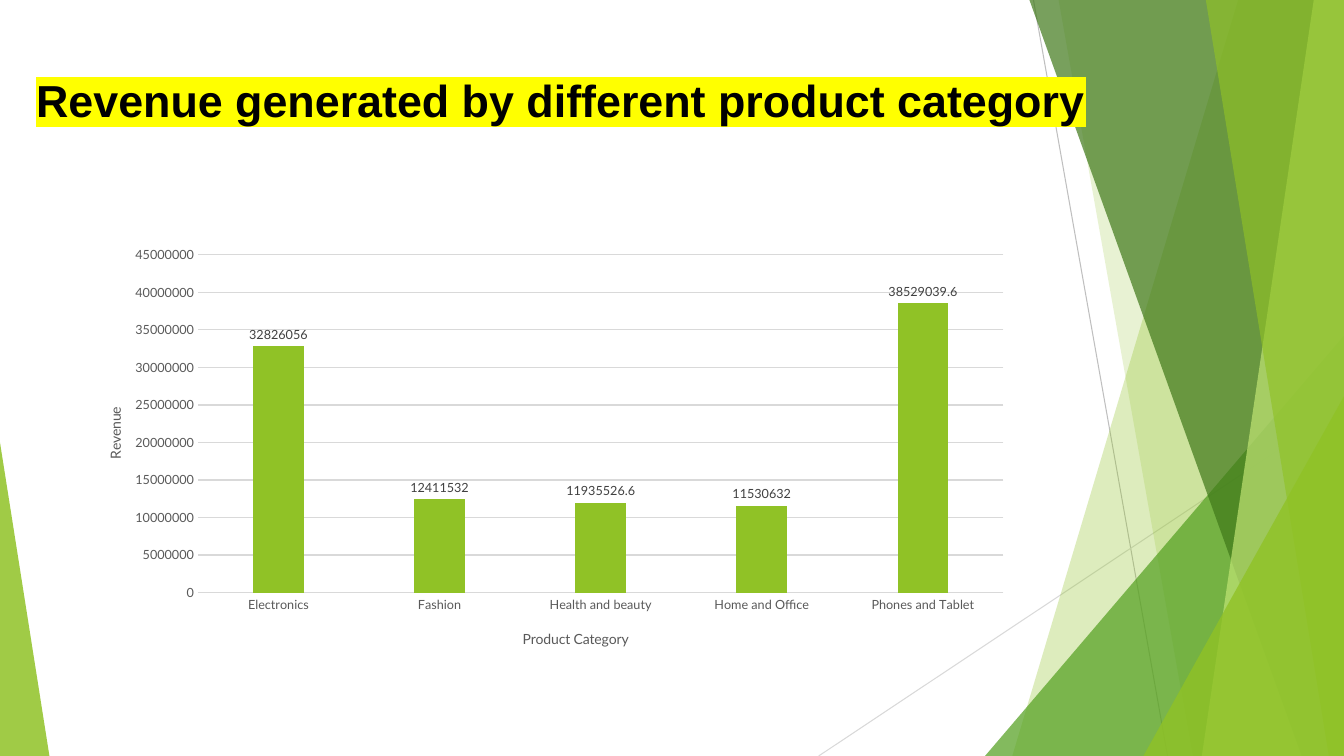
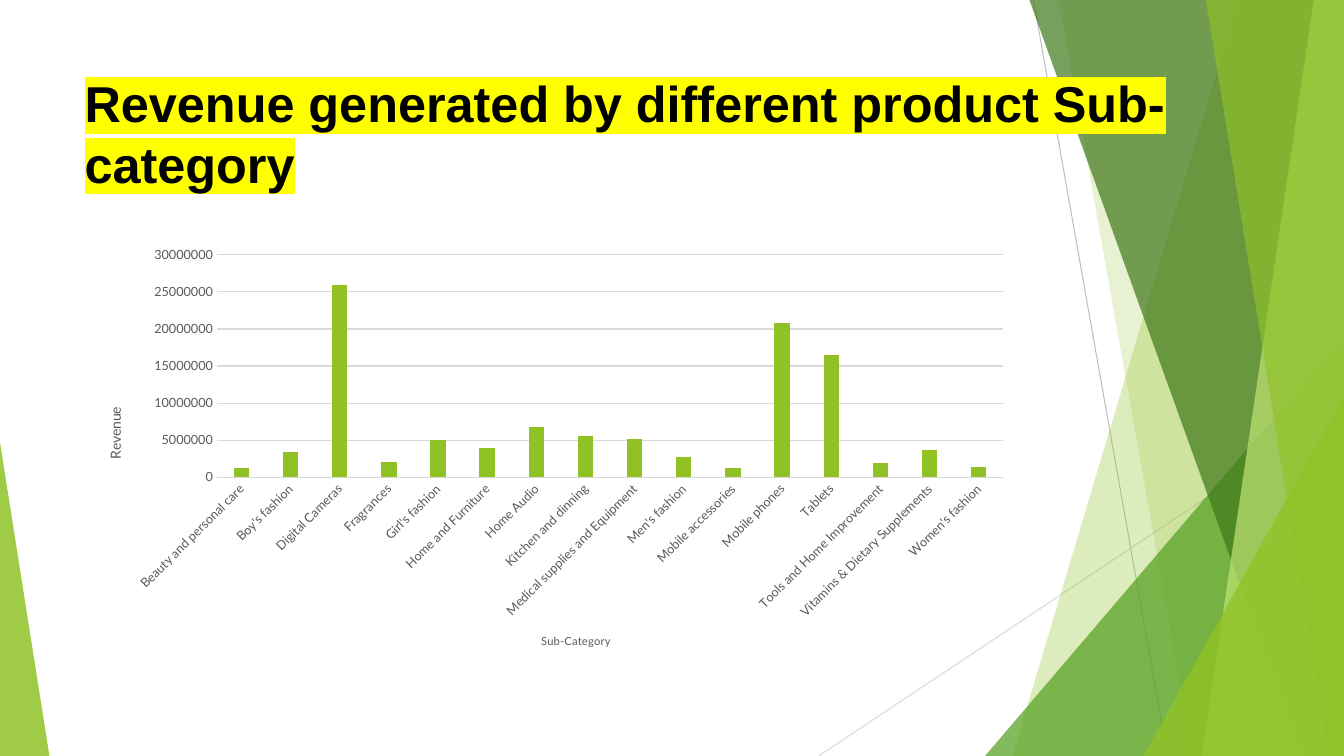
from lxml.etree import SubElement
from pptx import Presentation
from pptx.chart.data import CategoryChartData
from pptx.dml.color import RGBColor
from pptx.enum.chart import XL_CHART_TYPE as ChartType, XL_LABEL_POSITION as LabelPos
from pptx.enum.chart import XL_TICK_MARK as TickMark
from pptx.enum.shapes import MSO_CONNECTOR as Connector, MSO_SHAPE as Shape
from pptx.oxml import parse_xml
from pptx.oxml.ns import nsdecls, qn
from pptx.util import Inches, Pt

# Colours and fonts
LIME = RGBColor(0x90, 0xC2, 0x26)
GREEN = RGBColor(0x54, 0xA0, 0x21)
FOREST = RGBColor(0x3F, 0x78, 0x19)
PALE = RGBColor(0xC0, 0xE4, 0x74)
BLACK = RGBColor(0, 0, 0)
LABEL_GREY = RGBColor(0x40, 0x40, 0x40)
AXIS_GREY = RGBColor(0x59, 0x59, 0x59)
RAY_GREY = RGBColor(0xBF, 0xBF, 0xBF)
GRID_GREY = RGBColor(0xD9, 0xD9, 0xD9)
HIGHLIGHT = "FFFF00"
TITLE_FONT, CHART_FONT = "Arial", "Lato"

# Content; layouts are fractions of the chart frame
SLIDES = [
    {
        "title": "Revenue generated by different product category",
        "title_left": 0.26, "title_width": 13.07, "title_size": 32,
        "category_title": "Product Category", "category_title_size": 10,
        "revenue": {
            "Electronics": 32826056,
            "Fashion": 12411532,
            "Health and beauty": 11935526.6,
            "Home and Office": 11530632,
            "Phones and Tablet": 38529039.6,
        },
        "axis_max": 45000000, "value_labels": True, "label_angle": 0,
        "plot_layout": {"x": 0.13, "y": 0.04, "w": 0.85, "h": 0.79},
        "category_title_layout": {"x": 0.47, "y": 0.91},
    },
    {
        "title": "Revenue generated by different product Sub-category",
        "title_left": 0.74, "title_width": 11.36, "title_size": 36,
        "category_title": "Sub-Category", "category_title_size": 8,
        "revenue": {
            "Beauty and personal care": 1200000,
            "Boy's fashion": 3400000,
            "Digital Cameras": 26000000,
            "Fragrances": 2000000,
            "Girl's fashion": 5000000,
            "Home and Furniture": 4000000,
            "Home Audio": 6800000,
            "Kitchen and dinning": 5600000,
            "Medical supplies and Equipment": 5100000,
            "Men's fashion": 2700000,
            "Mobile accessories": 1200000,
            "Mobile phones": 20800000,
            "Tablets": 16500000,
            "Tools and Home Improvement": 1900000,
            "Vitamins & Dietary Supplements": 3700000,
            "Women's fashion": 1300000,
        },
        "axis_max": 30000000, "value_labels": False, "label_angle": -45,
        "plot_layout": {"x": 0.15, "y": 0.04, "w": 0.83, "h": 0.52},
        "category_title_layout": {"x": 0.49, "y": 0.92},
    },
]
REVENUE_TITLE_LAYOUT = {"x": 0.03, "y": 0.39}
AXIS_STEP = 5000000

# Backdrop, back to front
WIDTH, HEIGHT = 13.33, 7.5
RAYS = [((10.25, 0), (11.58, HEIGHT), RAY_GREY), ((WIDTH, 4.03), (8.12, HEIGHT), GRID_GREY)]
# Bands reach the right edge: (top left x, bottom left x, colour, opacity %)
# Triangles stand on the bottom edge: (left, top, width, apex, colour, opacity %)
FACETS = [
    ("band", 12.28, 10.04, LIME, 30),
    ("band", 10.5, 11.83, LIME, 20),
    ("triangle", 9.77, 3.33, 3.56, 1, GREEN, 72),
    ("band", 10.21, 12.91, FOREST, 70),
    ("band", 13.03, 11.92, PALE, 70),
    ("band", 11.96, 13.18, LIME, 65),
    ("triangle", 11.34, 3.93, 1.99, 1, LIME, 80),
    ("triangle", 0, 4.39, 0.49, 0, LIME, 85),
]


def set_font(font, color, **values):
    for name, value in values.items():
        setattr(font, name, value)
    font.color.rgb = color


def set_line(line, color):
    line.color.rgb = color
    line.width = Pt(0.75)


def add_band(shapes, top_x, bottom_x):
    corners = [(WIDTH, 0), (WIDTH, HEIGHT), (bottom_x, HEIGHT)]
    outline = shapes.build_freeform(Inches(top_x), Inches(0))
    outline.add_line_segments([(Inches(x), Inches(y)) for x, y in corners], close=True)
    return outline.convert_to_shape()


def add_triangle(shapes, left, top, width, apex):
    triangle = shapes.add_shape(Shape.ISOSCELES_TRIANGLE, Inches(left), Inches(top),
                                Inches(width), Inches(HEIGHT - top))
    triangle.adjustments[0] = apex
    return triangle


def add_backdrop(shapes):
    for start, end, color in RAYS:
        ray = shapes.add_connector(Connector.STRAIGHT, *map(Inches, start + end))
        set_line(ray.line, color)
        SubElement(ray._element.spPr, qn("a:effectLst"))
    draw = {"band": add_band, "triangle": add_triangle}
    for kind, *place, color, opacity in FACETS:
        facet = draw[kind](shapes, *place)
        facet.shadow.inherit = False
        facet.line.fill.background()
        facet.fill.solid()
        facet.fill.fore_color.rgb = color
        tint = facet._element.spPr.find(qn("a:solidFill"))[0]
        SubElement(tint, qn("a:alpha"), val=str(opacity * 1000))


def add_title(shapes, content):
    box = shapes.add_textbox(Inches(content["title_left"]), Inches(0.67),
                             Inches(content["title_width"]), Inches(1.44))
    box.text_frame.word_wrap = True
    run = box.text_frame.paragraphs[0].add_run()
    run.text = content["title"]
    set_font(run.font, BLACK, name=TITLE_FONT, size=Pt(content["title_size"]), bold=True)
    run._r.rPr.find(qn("a:solidFill")).addnext(parse_xml(
        f'<a:highlight {nsdecls("a")}><a:srgbClr val="{HIGHLIGHT}"/></a:highlight>'))


def set_layout(element, fractions):
    layout = element.find(qn("c:layout"))
    if layout is None:
        layout = parse_xml(f'<c:layout {nsdecls("c")}/>')
        element.insert(0, layout)
    manual = SubElement(layout, qn("c:manualLayout"))
    if "w" in fractions:
        SubElement(manual, qn("c:layoutTarget"), val="inner")
    for side in "xy":
        SubElement(manual, qn(f"c:{side}Mode"), val="edge")
    for side, value in fractions.items():
        SubElement(manual, qn(f"c:{side}"), val=str(value))


def format_axis(axis, title, size, fractions, title_angle, label_angle):
    axis.major_tick_mark = axis.minor_tick_mark = TickMark.NONE
    set_font(axis.tick_labels.font, AXIS_GREY, name=CHART_FONT, size=Pt(9))
    frame = axis.axis_title.text_frame
    frame.text = title
    set_font(frame.paragraphs[0].runs[0].font, AXIS_GREY,
             name=CHART_FONT, size=Pt(size), bold=False)
    set_layout(axis.axis_title._element, fractions)
    labels = axis._element.find(qn("c:txPr"))
    for body, angle in ((frame._txBody, title_angle), (labels, label_angle)):
        body.find(qn("a:bodyPr")).set("rot", str(angle * 60000))


def add_revenue_chart(shapes, content):
    revenue = CategoryChartData()
    revenue.categories = content["revenue"].keys()
    revenue.add_series("Series 1", content["revenue"].values())
    chart = shapes.add_chart(ChartType.COLUMN_CLUSTERED, Inches(0.74), Inches(2.36),
                             Inches(9.4), Inches(4.24), revenue).chart
    chart.has_legend = chart.has_title = False
    set_font(chart.font, BLACK, name=CHART_FONT, size=Pt(10))
    set_layout(chart._chartSpace.chart.plotArea, content["plot_layout"])

    # Columns
    plot = chart.plots[0]
    for name, value in {"gap_width": 219, "overlap": -27, "vary_by_categories": False}.items():
        setattr(plot, name, value)
    columns = plot.series[0].format.fill
    columns.solid()
    columns.fore_color.rgb = LIME
    if content["value_labels"]:
        labels = plot.series[0].data_labels
        labels.show_value = True
        labels.position = LabelPos.OUTSIDE_END
        set_font(labels.font, LABEL_GREY, name=CHART_FONT, size=Pt(9))

    # Axes
    categories, values = chart.category_axis, chart.value_axis
    format_axis(categories, content["category_title"], content["category_title_size"],
                content["category_title_layout"], 0, content["label_angle"])
    format_axis(values, "Revenue", 10, REVENUE_TITLE_LAYOUT, -90, 0)
    set_line(categories.format.line, GRID_GREY)
    values.format.line.fill.background()
    set_line(values.major_gridlines.format.line, GRID_GREY)
    scale = {"minimum_scale": 0, "maximum_scale": content["axis_max"], "major_unit": AXIS_STEP}
    for name, value in scale.items():
        setattr(values, name, value)


def main():
    deck = Presentation()
    deck.slide_width, deck.slide_height = Inches(WIDTH), Inches(HEIGHT)
    for content in SLIDES:
        shapes = deck.slides.add_slide(deck.slide_layouts[6]).shapes
        add_backdrop(shapes)
        add_title(shapes, content)
        add_revenue_chart(shapes, content)
    deck.save("out.pptx")


if __name__ == "__main__":
    main()
